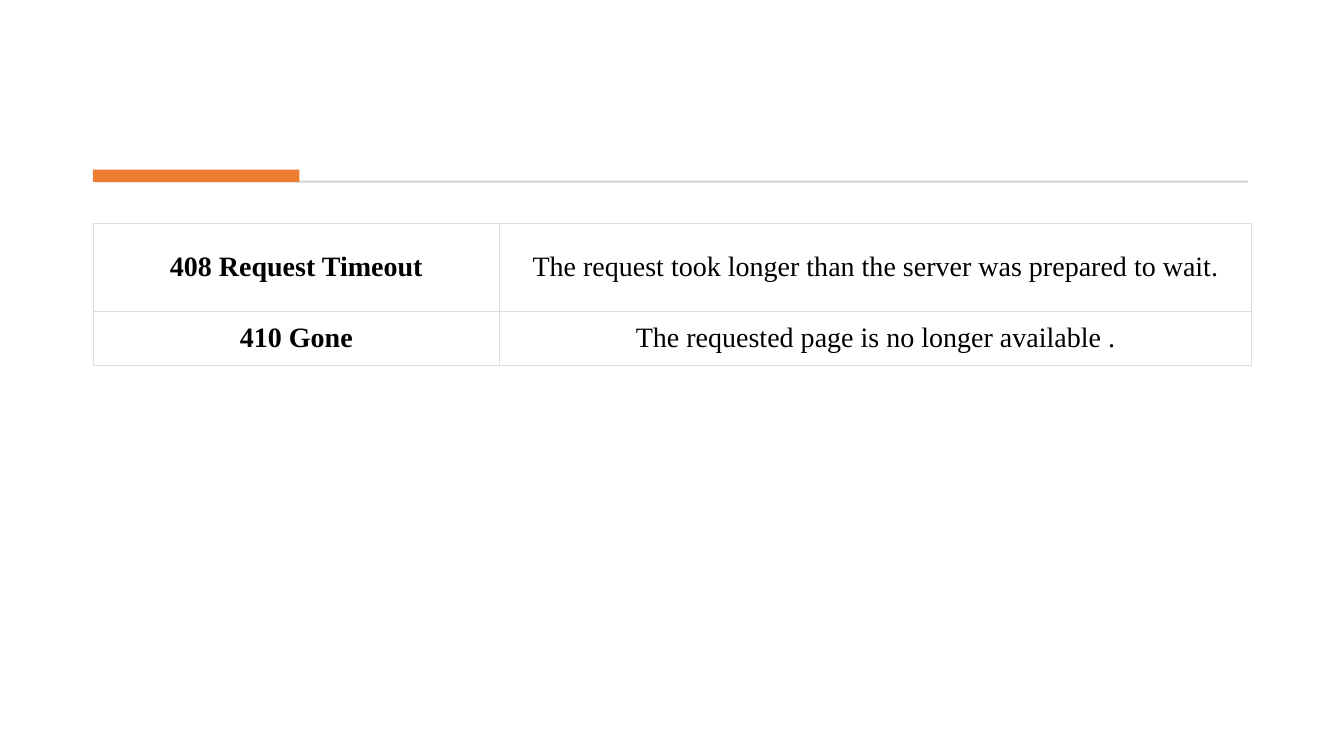
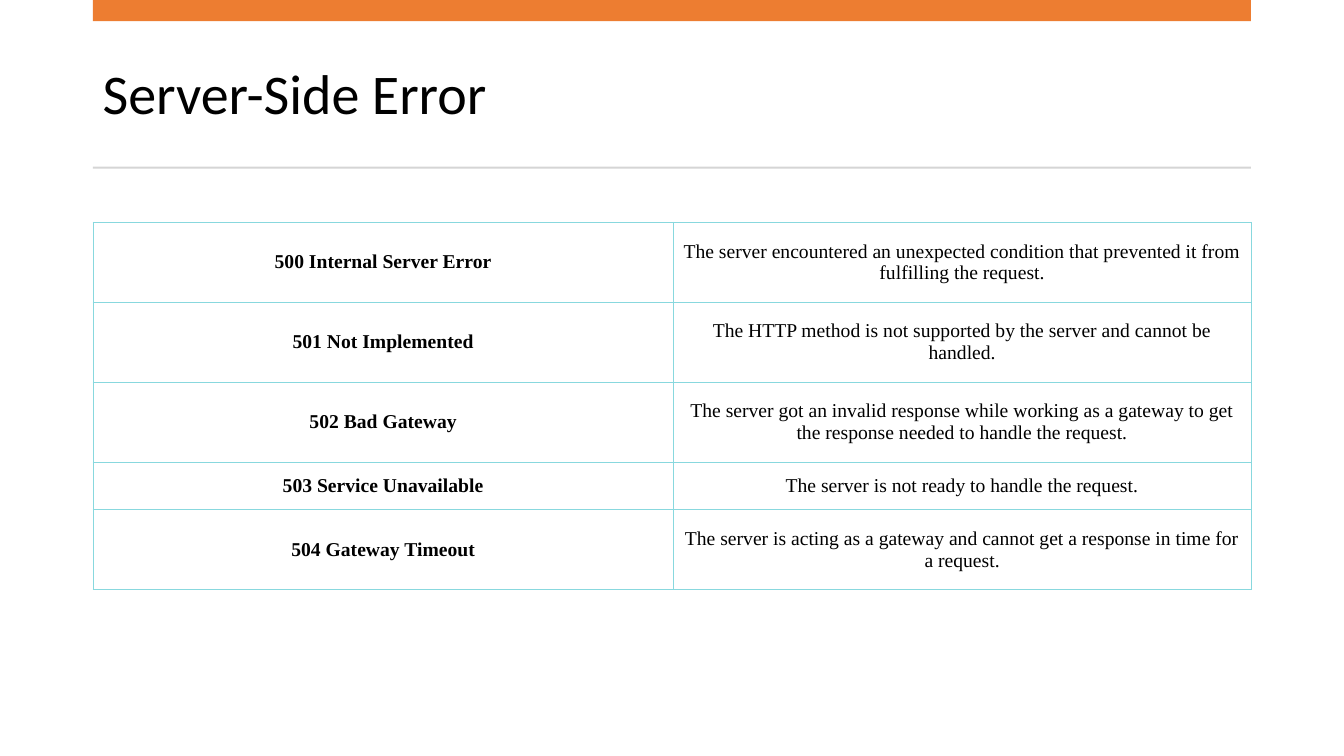
import dataclasses

import lxml.etree
import pptx
import pptx.dml.color
import pptx.enum.shapes
import pptx.enum.text
import pptx.oxml.ns
import pptx.slide
import pptx.table
import pptx.text.text
import pptx.util

Pt = pptx.util.Pt

ORANGE = "ED7D31"
RULE_GREY = "D5D5D5"
BLACK = "000000"
TITLE_FONT = "Calibri"
TABLE_FONT = "Times New Roman"
LEFT = 66.3
WIDTH = 827.2
RULE_HEIGHT = 1.4


@dataclasses.dataclass(frozen=True)
class Bar:
    left: float
    top: float
    width: float
    height: float
    color: str


@dataclasses.dataclass(frozen=True)
class StatusTable:
    top: float
    columns: tuple[float, float]
    heights: tuple[float, ...]
    border: str
    size: float
    inset_x: float
    inset_y: float
    rows: tuple[tuple[str, str], ...]


TIMEOUT_BARS = (
    Bar(68.4, 129, 823, RULE_HEIGHT, RULE_GREY),
    Bar(LEFT, 121.2, 147.6, 8.7, ORANGE),
)
SERVER_BARS = (
    Bar(LEFT, 0, WIDTH, 15.1, ORANGE),
    Bar(LEFT, 119, WIDTH, RULE_HEIGHT, RULE_GREY),
)
CLIENT_ERRORS = StatusTable(
    159.6, (290.7, 537.1), (62.8, 38.4), "DDDDDD", 20, 4.5, 4.5,
    (
        ("408 Request Timeout", "The request took longer than the server was prepared to wait."),
        ("410 Gone", "The requested page is no longer available ."),
    ),
)
SERVER_ERRORS = StatusTable(
    158.8, (414.8, 412.4), (57.1, 57.1, 57.1, 34.1, 57.1), "88D8DE", 14, 5.7, 2.9,
    (
        ("500 Internal Server Error",
         "The server encountered an unexpected condition that prevented it from fulfilling the request."),
        ("501 Not Implemented",
         "The HTTP method is not supported by the server and cannot be handled."),
        ("502 Bad Gateway",
         "The server got an invalid response while working as a gateway to get the response needed to handle the request."),
        ("503 Service Unavailable", "The server is not ready to handle the request."),
        ("504 Gateway Timeout",
         "The server is acting as a gateway and cannot get a response in time for a request."),
    ),
)


def rgb(color: str) -> pptx.dml.color.RGBColor:
    return pptx.dml.color.RGBColor.from_string(color)


def write(tf: pptx.text.text.TextFrame, text: str, *, font: str, size: float,
          color: str = BLACK, bold: bool = False, centered: bool = False,
          spacing: float = 1.0) -> None:
    align = pptx.enum.text.PP_ALIGN
    p = tf.paragraphs[0]
    p.alignment = align.CENTER if centered else align.LEFT
    p.line_spacing = spacing
    r = p.add_run()
    r.text = text
    r.font.name = font
    r.font.size = Pt(size)
    r.font.bold = bold
    r.font.color.rgb = rgb(color)


def add_bar(s: pptx.slide.Slide, bar: Bar) -> None:
    sp = s.shapes.add_shape(
        pptx.enum.shapes.MSO_SHAPE.RECTANGLE,
        Pt(bar.left), Pt(bar.top), Pt(bar.width), Pt(bar.height))
    sp.shadow.inherit = False
    sp.fill.solid()
    sp.fill.fore_color.rgb = rgb(bar.color)
    sp.line.fill.background()


def add_title(s: pptx.slide.Slide, text: str) -> None:
    tf = s.shapes.add_textbox(Pt(LEFT), Pt(26.6), Pt(WIDTH), Pt(85)).text_frame
    tf.word_wrap = True
    tf.vertical_anchor = pptx.enum.text.MSO_ANCHOR.MIDDLE
    write(tf, text, font=TITLE_FONT, size=40, spacing=0.9)


def set_borders(cell: pptx.table._Cell, color: str, width: float = 0.5) -> None:
    qn = pptx.oxml.ns.qn
    tc_pr = cell._tc.get_or_add_tcPr()
    for i, side in enumerate(("a:lnL", "a:lnR", "a:lnT", "a:lnB")):
        ln = lxml.etree.Element(qn(side), w=str(int(Pt(width))))
        fill = lxml.etree.SubElement(ln, qn("a:solidFill"))
        lxml.etree.SubElement(fill, qn("a:srgbClr"), val=color)
        tc_pr.insert(i, ln)


def add_status_table(s: pptx.slide.Slide, spec_table: StatusTable) -> None:
    table = s.shapes.add_table(
        len(spec_table.rows), len(spec_table.columns), Pt(LEFT), Pt(spec_table.top),
        Pt(sum(spec_table.columns)), Pt(sum(spec_table.heights))).table
    table.first_row = False
    table.horz_banding = False
    for column, width in zip(table.columns, spec_table.columns):
        column.width = Pt(width)
    for row, height, texts in zip(table.rows, spec_table.heights, spec_table.rows):
        row.height = Pt(height)
        for i, (cell, text) in enumerate(zip(row.cells, texts)):
            cell.fill.background()
            cell.vertical_anchor = pptx.enum.text.MSO_ANCHOR.MIDDLE
            cell.margin_left = cell.margin_right = Pt(spec_table.inset_x)
            cell.margin_top = cell.margin_bottom = Pt(spec_table.inset_y)
            set_borders(cell, spec_table.border)
            write(cell.text_frame, text, font=TABLE_FONT, size=spec_table.size,
                  bold=i == 0, centered=True)


def add_slide(prs: pptx.presentation.Presentation, bars: tuple[Bar, ...],
              status_table: StatusTable, title: str = "") -> None:
    s = prs.slides.add_slide(prs.slide_layouts[6])
    if title:
        add_title(s, title)
    for bar in bars:
        add_bar(s, bar)
    add_status_table(s, status_table)


def main() -> None:
    prs = pptx.Presentation()
    prs.slide_width = Pt(960)
    prs.slide_height = Pt(540)
    add_slide(prs, TIMEOUT_BARS, CLIENT_ERRORS)
    add_slide(prs, SERVER_BARS, SERVER_ERRORS, "Server-Side Error")
    prs.save("out.pptx")


if __name__ == "__main__":
    main()
